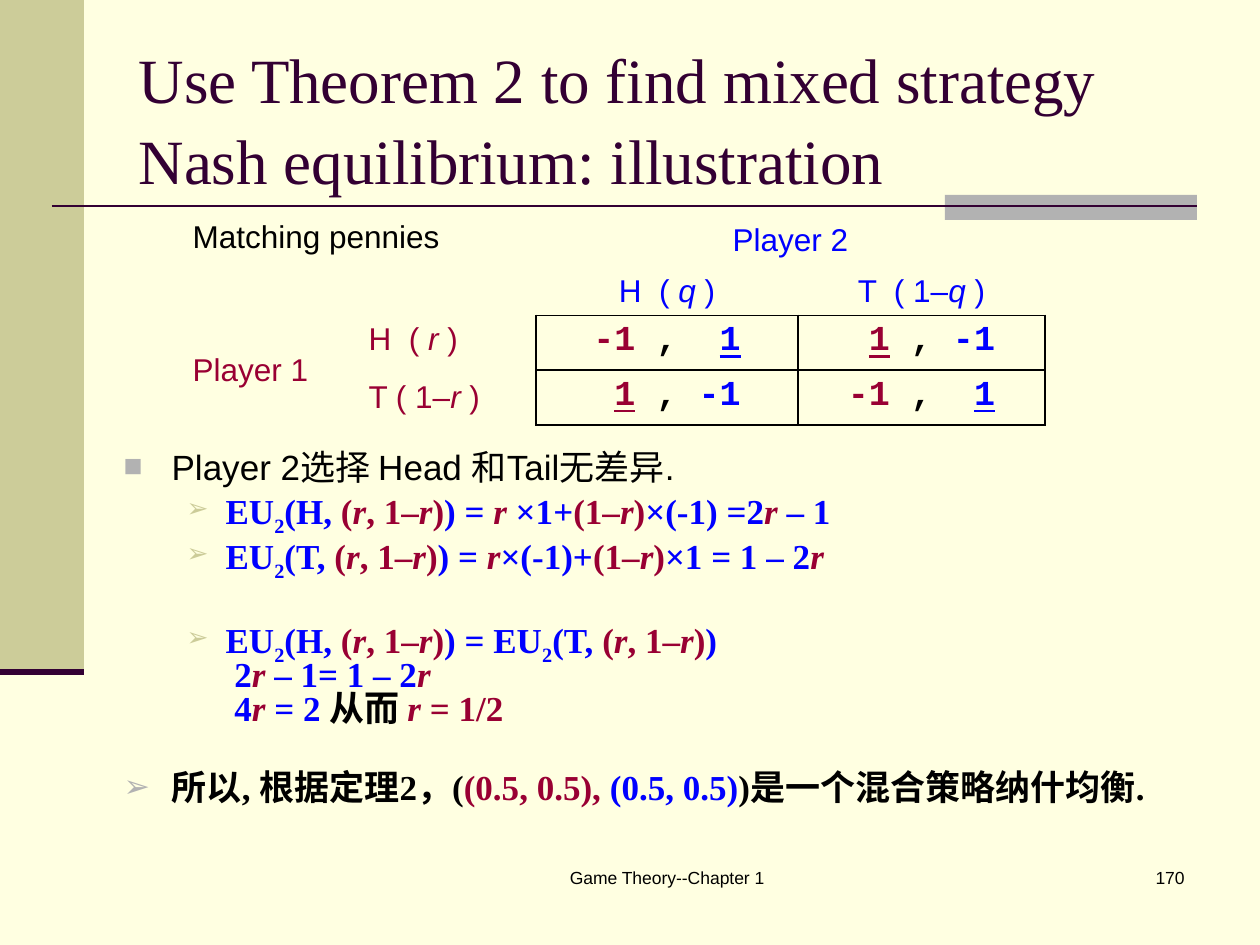
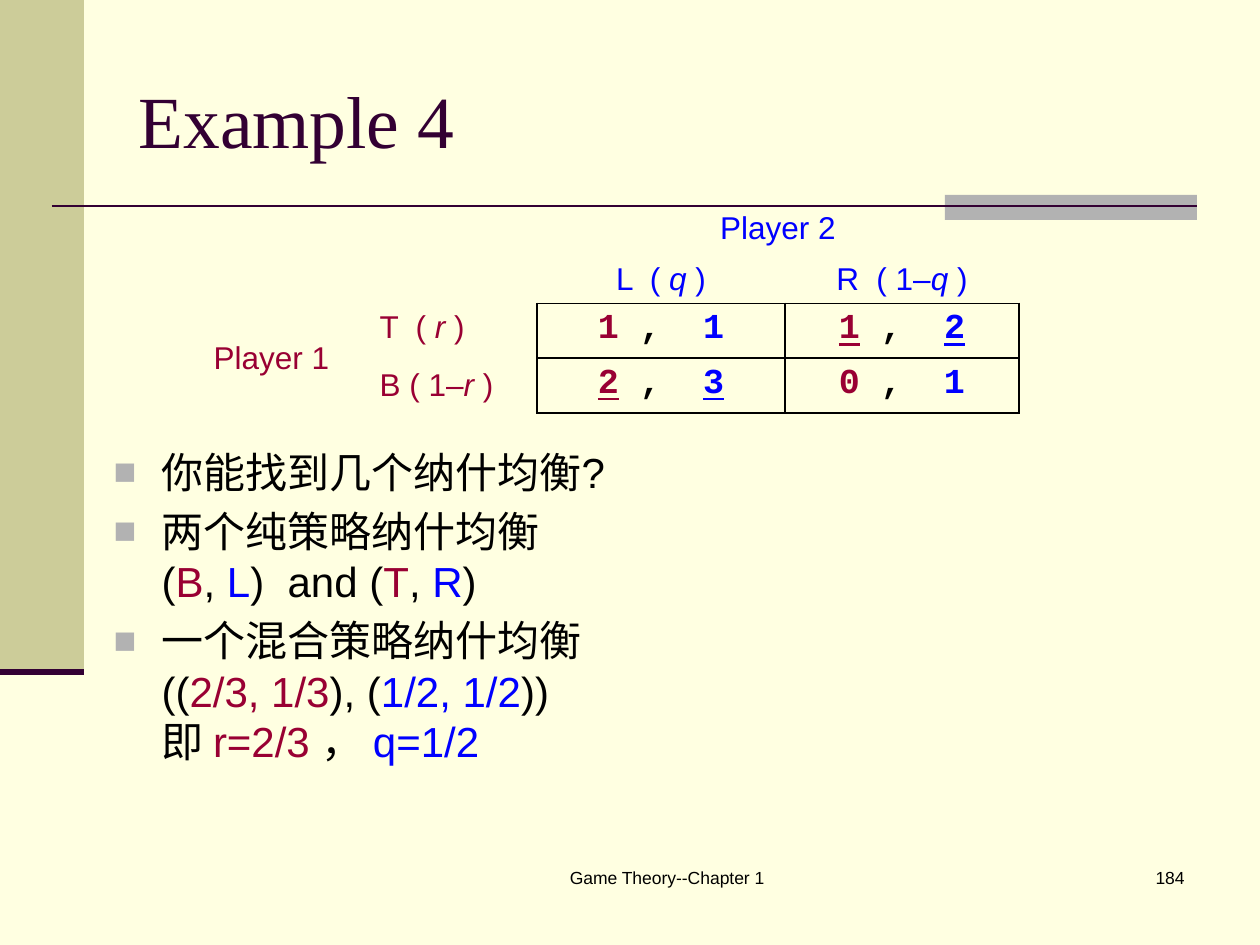
import copy
from dataclasses import dataclass
from typing import Any

import pptx
import pptx.dml.color
import pptx.enum.shapes
import pptx.enum.text
import pptx.oxml
import pptx.oxml.ns
import pptx.util
from lxml import etree

RGB = pptx.dml.color.RGBColor
ALIGN = pptx.enum.text.PP_ALIGN
ANCHOR = pptx.enum.text.MSO_ANCHOR
SHAPES = pptx.enum.shapes.MSO_SHAPE
qn = pptx.oxml.ns.qn

CREAM = RGB(0xFF, 0xFF, 0xE1)
OLIVE = RGB(0xCC, 0xCC, 0x99)
GRAY = RGB(0xB2, 0xB2, 0xB2)
PLUM = RGB(0x33, 0x00, 0x33)
BLACK = RGB(0x00, 0x00, 0x00)
BLUE = RGB(0x00, 0x00, 0xFF)
MAROON = RGB(0x99, 0x00, 0x33)
INKS = {"k": BLACK, "b": BLUE, "m": MAROON, "p": PLUM}

SANS, SERIF, MONO = "Arial", "Times New Roman", "Courier New"
PX_PER_INCH = 126
FOOTER = "Game Theory--Chapter 1"
ROW_HEIGHTS = (49, 51, 52, 52)
BELIEF = "m:(|mi:r|m:, 1–|mi:r|m:)"
EU_HEAD = f"b:EU|bs:2|b:(H, |{BELIEF}|b:)"
EU_TAIL = f"b:EU|bs:2|b:(T, |{BELIEF}|b:)"


@dataclass(frozen=True)
class Box:
    left: int
    top: int
    width: int
    height: int


@dataclass(frozen=True)
class Rule:
    start: tuple[int, int]
    end: tuple[int, int]
    weight: float


@dataclass(frozen=True)
class Bullet:
    mark: str
    color: RGB
    percent: int
    margin: int
    hang: int


@dataclass(frozen=True)
class Point:
    markup: str
    bullet: Bullet
    face: str = SANS
    bold: bool = False
    space: int = 4


@dataclass(frozen=True)
class Game:
    left: int
    top: int
    columns: tuple[int, ...]
    caption: str
    strategies_2: tuple[str, str]
    strategies_1: tuple[str, str]
    payoffs: tuple[tuple[str, str], tuple[str, str]]


@dataclass(frozen=True)
class Lesson:
    title: str
    title_size: int
    number: str
    game: Game
    body: Box
    body_size: int
    spacing: float
    points: tuple[Point, ...]


BANDS = ((Box(0, 0, 84, 672), OLIVE), (Box(945, 195, 252, 25), GRAY))
RULES = (Rule((52, 206), (1197, 206), 1.5), Rule((0, 672), (84, 672), 3.5))
TITLE_BOX = Box(126, 38, 1071, 157)
FOOTER_BOX = Box(462, 861, 410, 63)
NUMBER_BOX = Box(935, 861, 262, 63)

SQUARE = Bullet("■", GRAY, 90, 48, 48)
STEP = Bullet("➢", OLIVE, 75, 102, 39)
RESULT = Bullet("➢", GRAY, 90, 48, 48)

LESSONS = (
    Lesson(
        "Use Theorem 2 to find mixed strategy Nash equilibrium: illustration", 36, "170",
        Game(
            180, 214, (176, 180, 262, 247), "k:Matching pennies",
            ("b:H  ( |bi:q|b: )", "b:T  ( 1–|bi:q|b: )"),
            ("m:H  ( |mi:r |m:)", "m:T ( 1–|mi:r|m: )"),
            (("m:-1 |k:,  |bu:1", "m: |mu:1|m: |k:, |b:-1"),
             ("m: |mu:1|m: |k:, |b:-1", "m:-1 |k:,  |bu:1")),
        ),
        Box(111, 447, 1071, 402), 20, 0.8,
        (
            Point("k:Player 2选择 Head 和Tail无差异.", SQUARE, space=0),
            Point(f"{EU_HEAD}|b: = |mi:r|b: ×1+|m:(1–|mi:r|m:)|b:×(-1) =2|mi:r |b:– 1",
                  STEP, SERIF, True),
            Point(f"{EU_TAIL}|b: = |mi:r|b:×(-1)+|m:(1–|mi:r|m:)|b:×1 = 1 – 2|mi:r",
                  STEP, SERIF, True),
            Point(f"{EU_HEAD}|b: = |{EU_TAIL}|b:\n 2|mi:r |b:– 1= 1 – 2|mi:r|b:\n 4|mi:r |"
                  "b:= 2 |k:从而 |mi:r |m:= 1/2", STEP, SERIF, True, 26),
            Point("k:所以, 根据定理2，(|m:(0.5, 0.5), |b:(0.5, 0.5)|k:)是一个混合策略纳什均衡.",
                  RESULT, SERIF, True, 26),
        ),
    ),
    Lesson(
        "Example 4", 42, "184",
        Game(
            201, 202, (166, 170, 248, 234), "",
            ("b:L  ( |bi:q|b: )", "b:R  ( 1–|bi:q|b: )"),
            ("m:T  ( |mi:r |m:)", "m:B ( 1–|mi:r|m: )"),
            (("m:1 |k:, |b: 1", "mu:1|m: |k:,  |bu:2"),
             ("mu:2|m: |k:,  |bu:3", "m:0 |k:, |b: 1")),
        ),
        Box(101, 440, 1071, 409), 24, 1.0,
        (
            Point("k:你能找到几个纳什均衡?", SQUARE, space=0),
            Point("k:两个纯策略纳什均衡\n(|m:B|k:, |b:L|k:)  and (|m:T|k:, |b:R|k:)",
                  SQUARE, space=5),
            Point("k:一个混合策略纳什均衡\n((|m:2/3, 1/3|k:), (|b:1/2, 1/2|k:)) \n即 |"
                  "m:r=2/3 |k:， |b:q=1/2", SQUARE, space=5),
        ),
    ),
)


def px(length: int) -> int:
    return round(length * pptx.util.Inches(1) / PX_PER_INCH)


def assign(target: Any, values: dict[str, Any]) -> None:
    for name, value in values.items():
        setattr(target, name, value)


def place(box: Box) -> tuple[int, int, int, int]:
    return px(box.left), px(box.top), px(box.width), px(box.height)


def write(paragraph: Any, markup: str, face: str, size: int, bold: bool = False) -> None:
    for piece in filter(None, markup.split("|")):
        style, _, words = piece.partition(":")
        for index, line in enumerate(words.split("\n")):
            if index:
                paragraph.add_line_break()
                line_break = paragraph._p.findall(qn("a:br"))[-1]
            run = paragraph.add_run()
            run.text = line
            assign(run.font, {"name": face, "size": pptx.util.Pt(size), "bold": bold,
                              "italic": "i" in style, "underline": "u" in style})
            run.font.color.rgb = INKS[style[0]]
            if "s" in style:
                run._r.rPr.set("baseline", "-25000")
            if index:
                line_break.append(copy.deepcopy(run._r.rPr))


def add_bullet(paragraph: Any, bullet: Bullet) -> None:
    properties = paragraph._p.get_or_add_pPr()
    properties.set("marL", str(px(bullet.margin)))
    properties.set("indent", str(-px(bullet.hang)))
    color = etree.SubElement(properties, qn("a:buClr"))
    etree.SubElement(color, qn("a:srgbClr"), val=str(bullet.color))
    etree.SubElement(properties, qn("a:buSzPct"), val=str(bullet.percent * 1000))
    etree.SubElement(properties, qn("a:buFont"), typeface=SANS)
    etree.SubElement(properties, qn("a:buChar"), char=bullet.mark)


def draw_frame(slide: Any, number: str) -> None:
    for box, color in BANDS:
        band = slide.shapes.add_shape(SHAPES.RECTANGLE, *place(box))
        band.shadow.inherit = False
        band.fill.solid()
        band.fill.fore_color.rgb = color
        band.line.fill.background()
    for rule in RULES:
        line = slide.shapes.add_connector(
            pptx.enum.shapes.MSO_CONNECTOR.STRAIGHT, *map(px, rule.start + rule.end))
        line.line.color.rgb = PLUM
        line.line.width = pptx.util.Pt(rule.weight)
        etree.SubElement(line._element.spPr, qn("a:effectLst"))
    for box, words, align in ((FOOTER_BOX, FOOTER, ALIGN.CENTER),
                              (NUMBER_BOX, number, ALIGN.RIGHT)):
        frame = slide.shapes.add_textbox(*place(box)).text_frame
        frame.word_wrap = True
        frame.paragraphs[0].alignment = align
        write(frame.paragraphs[0], f"k:{words}", SANS, 10)


def prepare(placeholder: Any, box: Box, anchor: Any) -> Any:
    assign(placeholder, dict(zip(("left", "top", "width", "height"), place(box))))
    assign(placeholder.text_frame, {
        "word_wrap": True, "vertical_anchor": anchor,
        "auto_size": pptx.enum.text.MSO_AUTO_SIZE.NONE})
    return placeholder.text_frame


def fill_title(slide: Any, lesson: Lesson) -> None:
    heading = prepare(slide.shapes.title, TITLE_BOX, ANCHOR.MIDDLE).paragraphs[0]
    assign(heading, {"alignment": ALIGN.LEFT, "line_spacing": 1.07})
    write(heading, f"p:{lesson.title}", SERIF, lesson.title_size)


def fill_body(slide: Any, lesson: Lesson) -> None:
    frame = prepare(slide.placeholders[1], lesson.body, ANCHOR.TOP)
    for index, point in enumerate(lesson.points):
        paragraph = frame.add_paragraph() if index else frame.paragraphs[0]
        add_bullet(paragraph, point.bullet)
        assign(paragraph, {"level": int(point.bullet is STEP), "alignment": ALIGN.LEFT,
                           "line_spacing": lesson.spacing,
                           "space_before": pptx.util.Pt(point.space)})
        write(paragraph, point.markup, point.face, lesson.body_size, point.bold)


def border_cell(cell: Any, row: int, column: int) -> None:
    payoff_row, payoff_column = row >= 2, column >= 2
    edges = {"L": payoff_row and payoff_column, "R": payoff_row and column >= 1,
             "T": payoff_row and payoff_column, "B": row >= 1 and payoff_column}
    properties = cell._tc.get_or_add_tcPr()
    for side, visible in edges.items():
        edge = etree.SubElement(properties, qn(f"a:ln{side}"), w=str(pptx.util.Pt(1)))
        if visible:
            ink = etree.SubElement(edge, qn("a:solidFill"))
            etree.SubElement(ink, qn("a:srgbClr"), val=str(BLACK))
        else:
            etree.SubElement(edge, qn("a:noFill"))
    cell.fill.background()


def draw_game(slide: Any, game: Game) -> None:
    box = Box(game.left, game.top, sum(game.columns), sum(ROW_HEIGHTS))
    table = slide.shapes.add_table(4, 4, *place(box)).table
    assign(table, {"first_row": False, "horz_banding": False})
    for column, width in zip(table.columns, game.columns):
        column.width = px(width)
    for row, height in zip(table.rows, ROW_HEIGHTS):
        row.height = px(height)
    for first, last in (((0, 0), (0, 1)), ((0, 2), (0, 3)), ((2, 0), (3, 0))):
        table.cell(*first).merge(table.cell(*last))
    grid = (
        (game.caption, "", "b:Player 2", ""),
        ("", "", *game.strategies_2),
        ("m:Player 1", game.strategies_1[0], *game.payoffs[0]),
        ("", game.strategies_1[1], *game.payoffs[1]),
    )
    for row, entries in enumerate(grid):
        for column, markup in enumerate(entries):
            cell = table.cell(row, column)
            border_cell(cell, row, column)
            payoff = row >= 2 and column >= 2
            if row < 2 and column >= 2:
                cell.vertical_anchor = ANCHOR.BOTTOM
            elif (row, column) in ((2, 0), (3, 1)):
                cell.vertical_anchor = ANCHOR.MIDDLE
            paragraph = cell.text_frame.paragraphs[0]
            paragraph.alignment = ALIGN.CENTER if column >= 2 else ALIGN.LEFT
            write(paragraph, markup, MONO if payoff else SANS, 20 if payoff else 18, payoff)


def main() -> None:
    deck = pptx.Presentation()
    assign(deck, {"slide_width": px(1260), "slide_height": px(945)})
    backdrop = deck.slide_master.background.fill
    backdrop.solid()
    backdrop.fore_color.rgb = CREAM
    for lesson in LESSONS:
        slide = deck.slides.add_slide(deck.slide_layouts[1])
        draw_frame(slide, lesson.number)
        fill_title(slide, lesson)
        fill_body(slide, lesson)
        draw_game(slide, lesson.game)
    deck.save("out.pptx")


if __name__ == "__main__":
    main()
